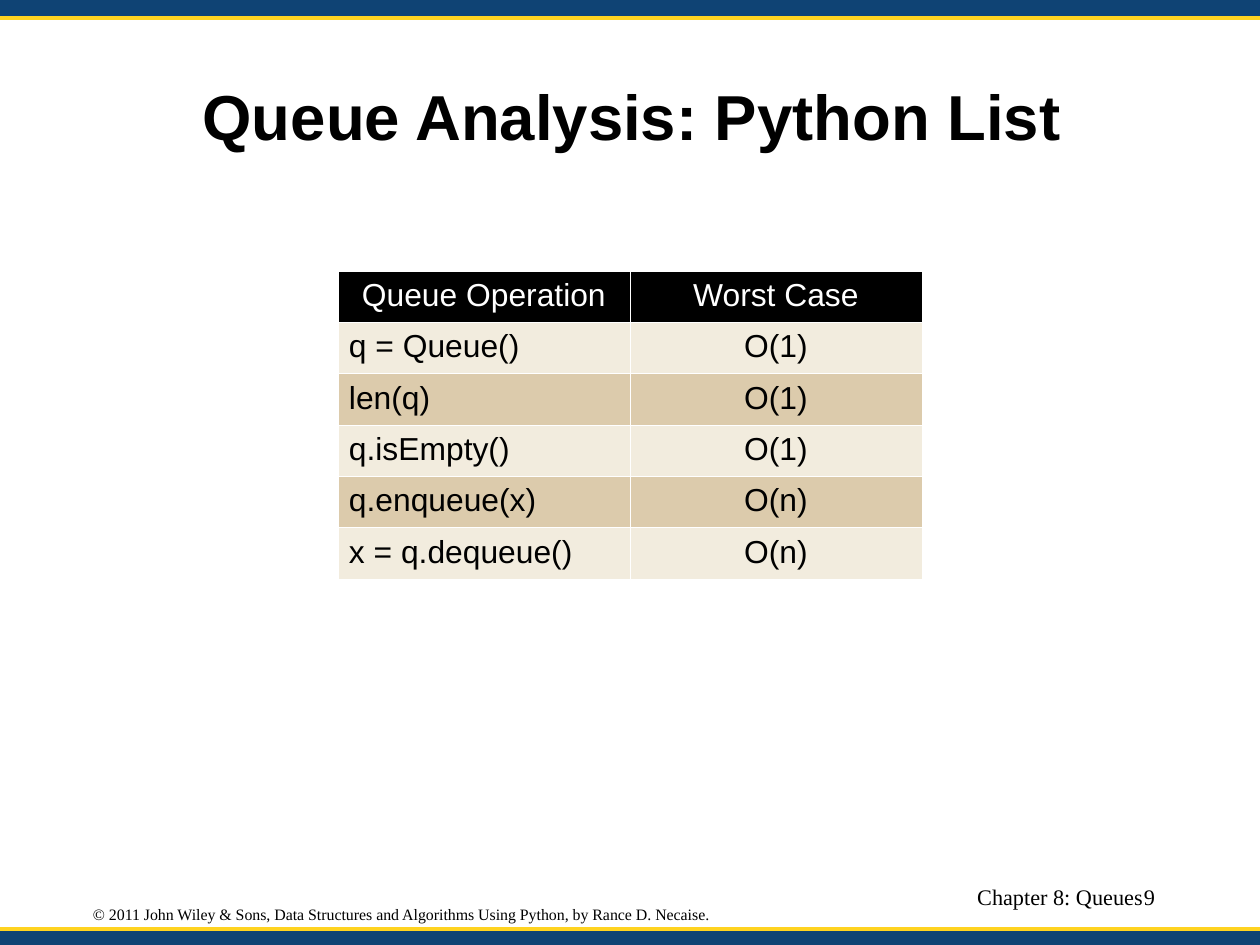
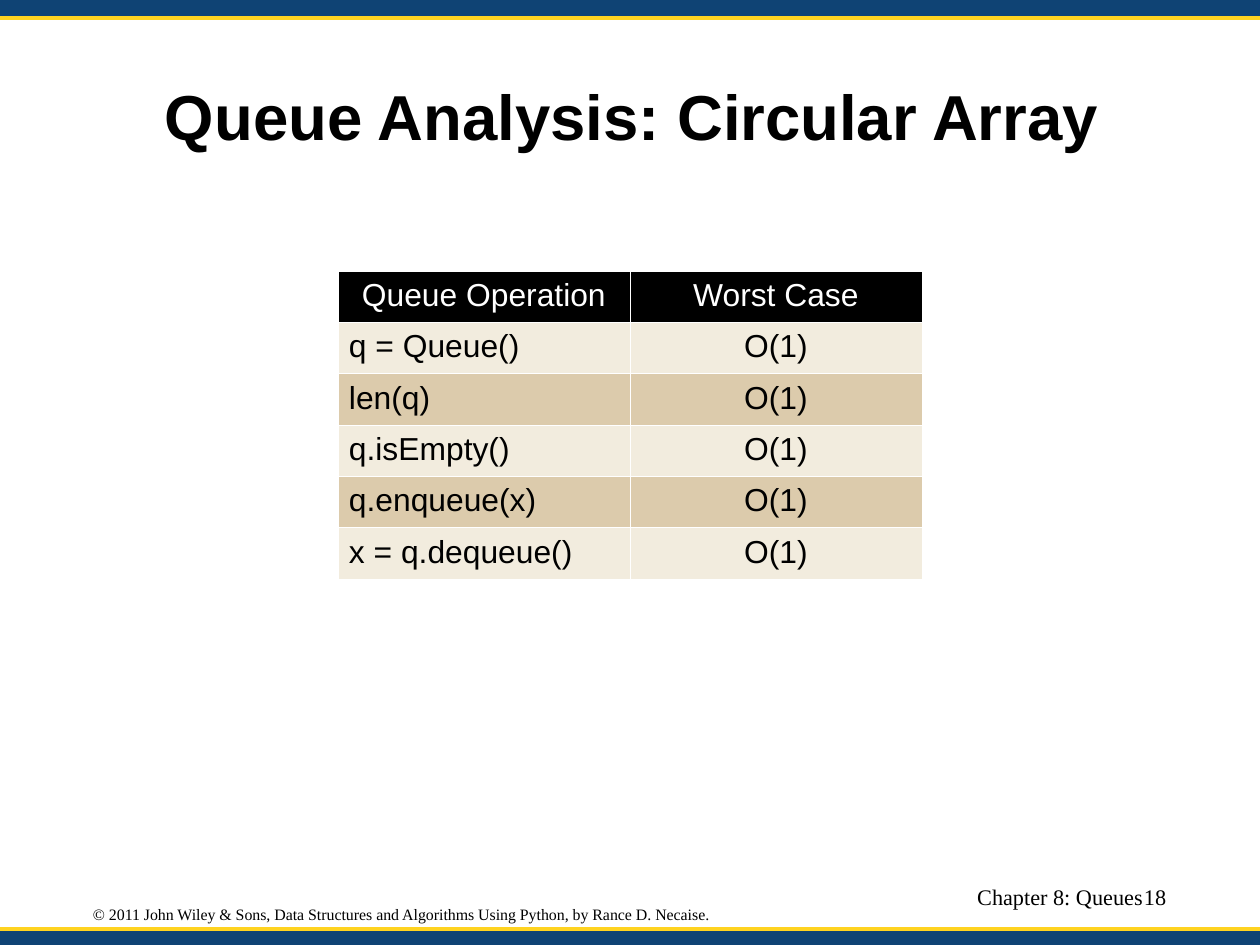
from lxml.etree import SubElement
from pptx import Presentation
from pptx.dml.color import RGBColor
from pptx.enum.shapes import MSO_CONNECTOR, MSO_SHAPE
from pptx.enum.text import MSO_ANCHOR, PP_ALIGN
from pptx.oxml.ns import qn
from pptx.util import Pt

PX = 8000
WIDTH, HEIGHT = 1260, 945
BLUE, YELLOW, BLACK, WHITE = "0F4374", "FFD320", "000000", "FFFFFF"
LIGHT_ROW, DARK_ROW = "F2ECDE", "DCCBAC"

TITLE = {"name": "Arial", "size": Pt(40), "bold": True}
TABLE = {"name": "Arial", "size": Pt(20), "bold": False}
COPYRIGHT = {"name": "Times New Roman", "size": Pt(10)}
CHAPTER = {"name": "Times New Roman", "size": Pt(14)}

COPYRIGHT_TEXT = ("© 2011 John Wiley & Sons, Data Structures and Algorithms "
                  "Using Python, by Rance D. Necaise.")
OPERATIONS = ["q = Queue()", "len(q)", "q.isEmpty()", "q.enqueue(x)", "x = q.dequeue()"]
ANALYSES = [
    ("Queue Analysis: Python List", "9", ["O(1)", "O(1)", "O(1)", "O(n)", "O(n)"]),
    ("Queue Analysis: Circular Array", "18", ["O(1)"] * 5),
]


def color(value):
    return RGBColor.from_string(value)


def write(frame, text, style, text_color=BLACK, align=PP_ALIGN.LEFT):
    """Fill the first paragraph of a text frame and format it."""
    para = frame.paragraphs[0]
    para.alignment = align
    para.line_spacing = 0.93
    span = para.add_run()
    span.text = text
    for name, value in style.items():
        setattr(span.font, name, value)
    span.font.color.rgb = color(text_color)


deck = Presentation()
deck.slide_width, deck.slide_height = WIDTH * PX, HEIGHT * PX

for title, number, costs in ANALYSES:
    page = deck.slides.add_slide(deck.slide_layouts[6])

    # Bands with a yellow edge
    for top, height, edge in [(0, 18, 18), (929, 16, 929)]:
        band = page.shapes.add_shape(
            MSO_SHAPE.RECTANGLE, 0, top * PX, WIDTH * PX, height * PX)
        band.shadow.inherit = False
        band.fill.solid()
        band.fill.fore_color.rgb = color(BLUE)
        band.line.fill.background()
        rule = page.shapes.add_connector(
            MSO_CONNECTOR.STRAIGHT, 0, edge * PX, WIDTH * PX, edge * PX)
        rule.line.color.rgb = color(YELLOW)
        rule.line.width = Pt(2)
        SubElement(rule.element.spPr, qn("a:effectLst"))

    # Title and footers
    for text, area, inset, anchor, align, style in [
        (title, (63, 38, 1137, 158), 5, MSO_ANCHOR.MIDDLE, PP_ALIGN.CENTER, TITLE),
        (COPYRIGHT_TEXT, (93, 906, 623, 17), 1, MSO_ANCHOR.MIDDLE, PP_ALIGN.LEFT, COPYRIGHT),
        ("Chapter 8: Queues", (744, 886, 399, 40), 0, MSO_ANCHOR.TOP, PP_ALIGN.RIGHT, CHAPTER),
        (number, (1144, 886, 53, 40), 0, MSO_ANCHOR.TOP, PP_ALIGN.LEFT, CHAPTER),
    ]:
        box = page.shapes.add_textbox(*(length * PX for length in area))
        frame = box.text_frame
        frame.word_wrap = True
        frame.vertical_anchor = anchor
        frame.margin_left = frame.margin_right = frame.margin_bottom = 0
        frame.margin_top = inset * PX
        write(frame, text, style, align=align)

    # Table of worst cases
    rows = [("Queue Operation", "Worst Case"), *zip(OPERATIONS, costs)]
    table = page.shapes.add_table(
        len(rows), 2, 338 * PX, 271 * PX, 584 * PX, 308 * PX).table
    table.horz_banding = False
    for row, texts in enumerate(rows):
        header = row == 0
        fill = BLACK if header else LIGHT_ROW if row % 2 else DARK_ROW
        for column, text in enumerate(texts):
            cell = table.cell(row, column)
            cell.vertical_anchor = MSO_ANCHOR.MIDDLE
            cell.margin_left = cell.margin_right = (5 if header and column else 11) * PX
            cell.margin_top = cell.margin_bottom = 6 * PX
            properties = cell._tc.get_or_add_tcPr()
            for side in ("a:lnL", "a:lnR", "a:lnT", "a:lnB"):
                border = SubElement(properties, qn(side), w=str(Pt(0.28)))
                solid = SubElement(border, qn("a:solidFill"))
                SubElement(solid, qn("a:srgbClr"), val=WHITE)
            cell.fill.solid()
            cell.fill.fore_color.rgb = color(fill)
            write(cell.text_frame, text, TABLE, WHITE if header else BLACK,
                  PP_ALIGN.CENTER if header or column else PP_ALIGN.LEFT)

deck.save("out.pptx")
